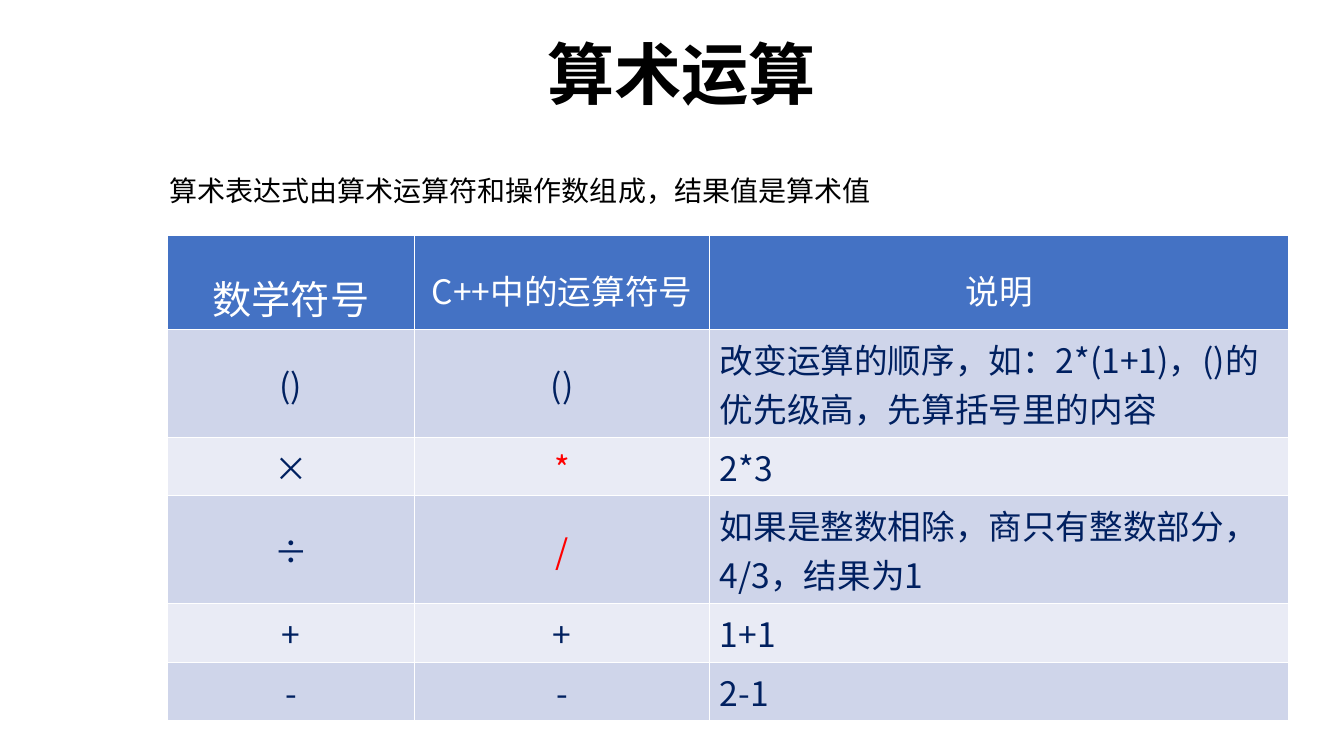
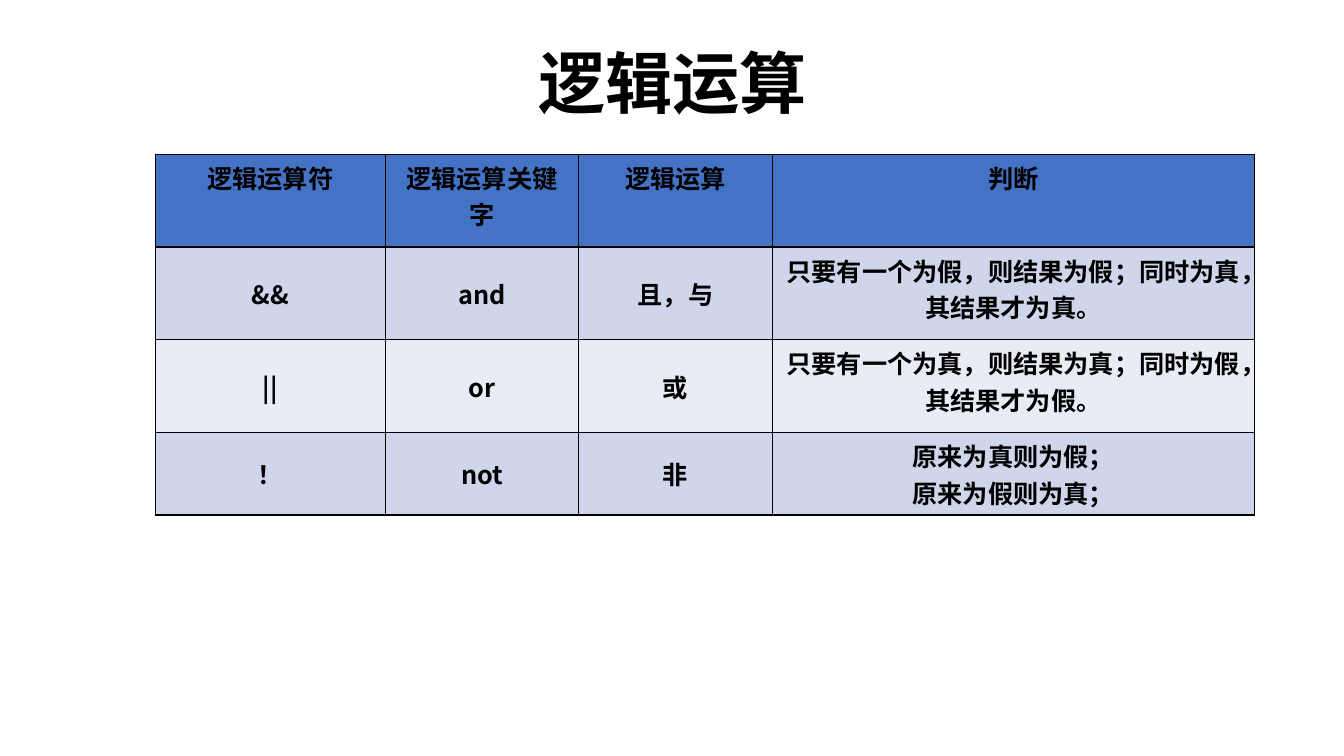
"""Build two slides on arithmetic and logical operators."""
from lxml import etree
from pptx import Presentation
from pptx.dml.color import RGBColor
from pptx.enum import lang, text
from pptx.oxml import ns
from pptx.util import Inches, Pt

SANS = "Noto Sans CJK SC"
HEAD = "Noto Sans CJK JP"
BLACK, WHITE, NAVY, RED = "000000", "FFFFFF", "002060", "FF0000"
BLUE = "4472C4"
BANDS = ("CFD5EA", "E9EBF5")
MID, TOP = text.MSO_ANCHOR.MIDDLE, text.MSO_ANCHOR.TOP
CENTER, LEFT = text.PP_ALIGN.CENTER, text.PP_ALIGN.LEFT


def color(code):
    """Turn a hex string into a colour."""
    return RGBColor.from_string(code)


def style(frame, size, ink, font=SANS, bold=False, align=LEFT, gap=None):
    """Format every paragraph and run of a text frame."""
    for para in frame.paragraphs:
        para.alignment = align
        para.line_spacing = gap
        for run in para.runs:
            face = run.font
            face.size, face.bold, face.name = Pt(size), bold, font
            face.color.rgb = color(ink)
            face.language_id = lang.MSO_LANGUAGE_ID.SIMPLIFIED_CHINESE
            east = etree.SubElement(face._element, ns.qn("a:ea"))
            east.set("typeface", HEAD if font == HEAD else SANS)


def label(slide, words, box, inset=0.05, **look):
    """Add a wrapped text box."""
    frame = slide.shapes.add_textbox(*map(Inches, box)).text_frame
    frame.word_wrap = True
    frame.margin_top = frame.margin_bottom = Inches(inset)
    frame.text = words
    style(frame, **look)


def title(slide, words, left, top):
    """Add the slide title."""
    label(slide, words, (left, top, 5.76, 0.89), inset=0,
          size=48, ink=BLACK, font=HEAD, bold=True, align=CENTER, gap=0.9)


def border(cell, ink):
    """Draw a one-point line on all four sides of a cell."""
    props = cell._tc.get_or_add_tcPr()
    for side in "LRTB":
        line = etree.SubElement(props, ns.qn(f"a:ln{side}"), w=str(Pt(1)))
        fill = etree.SubElement(line, ns.qn("a:solidFill"))
        etree.SubElement(fill, ns.qn("a:srgbClr"), val=ink)


def grid(slide, spot, cols, highs, rows, edge, look):
    """Add a banded table; look gives the text style of each cell."""
    box = (*spot, sum(cols), sum(highs))
    table = slide.shapes.add_table(len(rows), len(cols), *map(Inches, box)).table
    for col, width in zip(table.columns, cols):
        col.width = Inches(width)
    for r, (row, high) in enumerate(zip(rows, highs)):
        table.rows[r].height = Inches(high)
        for c, words in enumerate(row):
            cell = table.cell(r, c)
            border(cell, edge)
            cell.fill.solid()
            cell.fill.fore_color.rgb = color(BANDS[(r - 1) % 2] if r else BLUE)
            cell.vertical_anchor = MID if r and c < len(cols) - 1 else TOP
            cell.text_frame.text = words
            style(cell.text_frame, **look(r, c, words))


def math_look(r, c, words):
    """Style a cell of the arithmetic table."""
    if r == 0:
        return dict(size=24 if c else 28, ink=WHITE, align=CENTER, gap=1.5)
    return dict(size=24, ink=RED if words in ("*", "/") else NAVY,
                align=LEFT if c == 2 else CENTER)


def logic_look(r, c, words):
    """Style a cell of the logic table."""
    return dict(size=18, ink=BLACK, bold=True, align=CENTER)


def math_slide(slide):
    """Fill the arithmetic slide."""
    title(slide, "算术运算", 3.88, 0.41)
    rows = [
        ("数学符号", "C++中的运算符号", "说明"),
        ("()", "()", "改变运算的顺序，如：2*(1+1)，()的优先级高，先算括号里的内容"),
        ("×", "*", "2*3"),
        ("÷", "/", "如果是整数相除，商只有整数部分，4/3，结果为1"),
        ("+", "+", "1+1"),
        ("-", "-", "2-1"),
    ]
    one, two = 0.58, 1.07
    grid(slide, (1.66, 2.34), (2.45, 2.93, 5.74),
         (0.93, two, one, two, one, one), rows, WHITE, math_look)
    label(slide, "算术表达式由算术运算符和操作数组成，结果值是算术值",
          (1.58, 1.67, 7.86, 0.77), size=20, ink=BLACK, font="Times New Roman")


def logic_slide(slide):
    """Fill the logic slide."""
    title(slide, "逻辑运算", 3.79, 0.5)
    rows = [
        ("逻辑运算符", "逻辑运算关键字", "逻辑运算", "判断"),
        ("&&", "and", "且，与", "只要有一个为假，则结果为假；同时为真，其结果才为真。"),
        ("||", "or", "或", "只要有一个为真，则结果为真；同时为假，其结果才为假。"),
        ("！", "not", "非", "原来为真则为假；\n原来为假则为真；"),
    ]
    grid(slide, (1.54, 1.53), (2.28, 1.92, 1.92, 4.78),
         (0.92, 0.92, 0.92, 0.82), rows, BLACK, logic_look)


def main():
    """Build and save the slides."""
    deck = Presentation()
    deck.slide_width, deck.slide_height = Inches(13.33), Inches(7.5)
    for build in (math_slide, logic_slide):
        build(deck.slides.add_slide(deck.slide_layouts[6]))
    deck.save("out.pptx")


if __name__ == "__main__":
    main()
